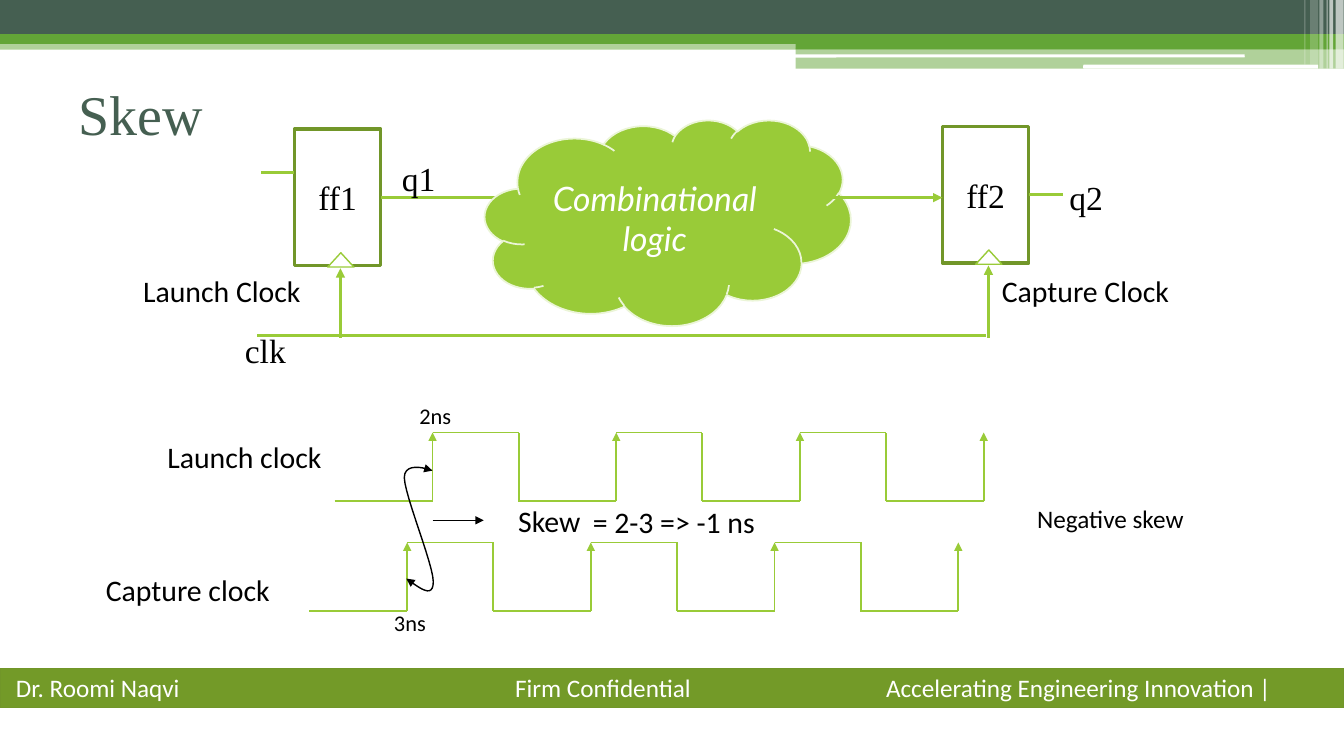
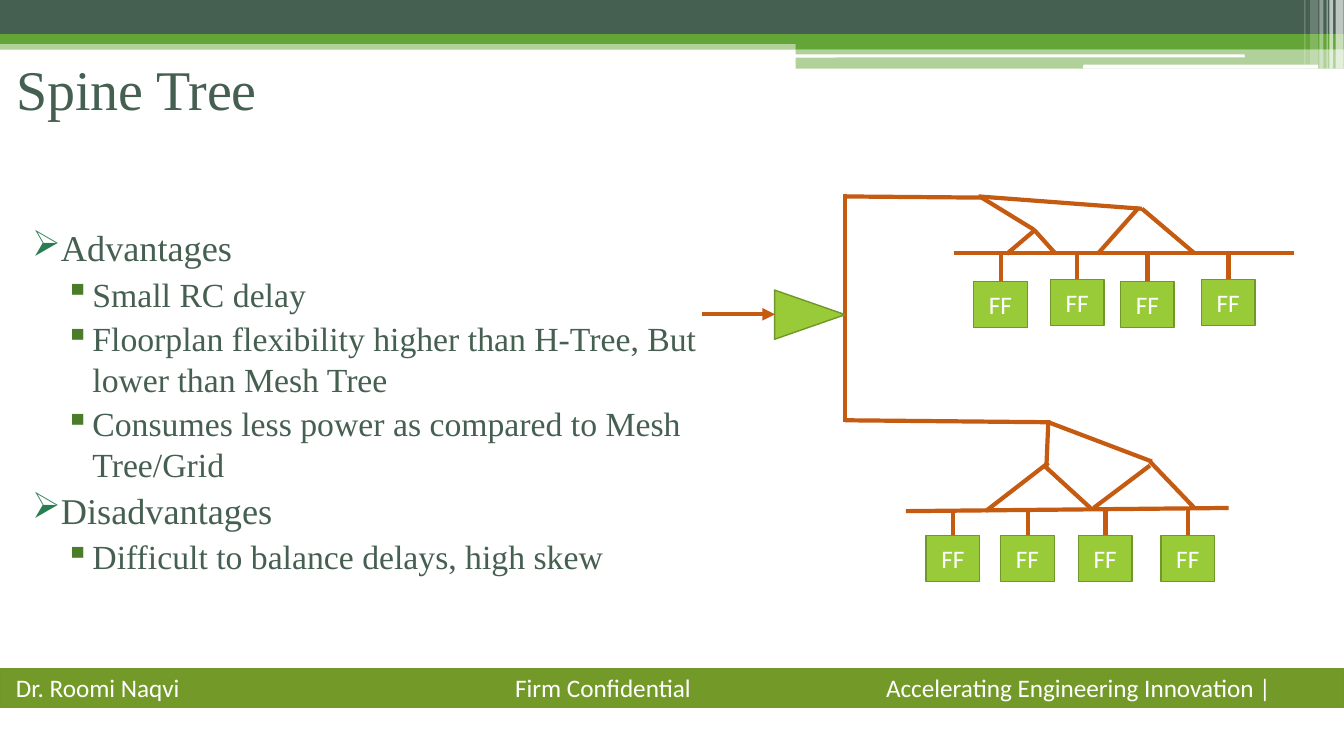
from dataclasses import dataclass
from lxml.etree import SubElement as Sub
from pptx import Presentation
from pptx.dml.color import RGBColor as Rgb
from pptx.enum.shapes import MSO_CONNECTOR as Link, MSO_SHAPE as Kind
from pptx.enum.text import MSO_ANCHOR as Anchor, MSO_AUTO_SIZE as Fit, PP_ALIGN as Align
from pptx.oxml.ns import qn
from pptx.util import Cm, Pt


@dataclass(frozen=True)
class Theme:
    """Colours, fonts and type sizes of the deck."""
    dark: str = "455F51"
    leaf: str = "63A537"
    foot: str = "739A28"
    edge: str = "719629"
    lime: str = "99CB38"
    mist: str = "EBF5D7"
    rust: str = "C55A11"
    white: str = "FFFFFF"
    black: str = "000000"
    serif: str = "Times New Roman"
    sans: str = "Calibri"
    soft: str = "Lato"
    title: float = 40
    gate: float = 24
    label: float = 21.3
    note: float = 18
    time: float = 16
    head: float = 25.9
    point: float = 24.1


T = Theme()


def box(slide, kind, at, fill=None, edge=None, wide=1, alpha=100,
        text="", size=T.note, face=T.sans, ink=T.black, pad=0.25):
    """Add a preset shape, or a text box when kind is None."""
    at = [Cm(n) for n in at]
    if kind is None:
        shape = slide.shapes.add_textbox(*at)
    else:
        shape = slide.shapes.add_shape(kind, *at)
        shape.shadow.inherit = False
        shape.fill.solid()
        shape.fill.fore_color.rgb = Rgb.from_string(fill)
        if alpha < 100:
            tint = shape.element.spPr.find(qn("a:solidFill"))[0]
            Sub(tint, qn("a:alpha"), val=str(alpha * 1000))
        if edge:
            shape.line.color.rgb = Rgb.from_string(edge)
            shape.line.width = Pt(wide)
        else:
            shape.line.fill.background()
    if text:
        frame = shape.text_frame
        frame.word_wrap = True
        frame.margin_left = frame.margin_right = Cm(pad)
        frame.margin_top = frame.margin_bottom = Cm(pad / 2)
        frame.vertical_anchor = Anchor.MIDDLE if kind else Anchor.TOP
        para = frame.paragraphs[0]
        para.alignment = Align.CENTER if kind else Align.LEFT
        run = para.add_run()
        run.text = text
        run.font.size, run.font.name = Pt(size), face
        run.font.color.rgb = Rgb.from_string(ink)
    return shape


def wire(slide, spots, ink=T.lime, wide=2.25, ends=()):
    """Join two spots by a connector, or more by an open outline."""
    spots = [(Cm(x), Cm(y)) for x, y in spots]
    if len(spots) == 2:
        shape = slide.shapes.add_connector(Link.STRAIGHT, *spots[0], *spots[1])
    else:
        pen = slide.shapes.build_freeform(*spots[0])
        pen.add_line_segments(spots[1:], close=False)
        shape = pen.convert_to_shape()
        shape.fill.background()
    shape.line.color.rgb = Rgb.from_string(ink)
    shape.line.width = Pt(wide)
    props = shape.element.spPr
    for end in ends:
        Sub(props.find(qn("a:ln")), qn(f"a:{end}End"), type="triangle")
    Sub(props, qn("a:effectLst"))


deck = Presentation()
deck.slide_width, deck.slide_height = Cm(33.87), Cm(19.05)
layout = deck.slide_layouts[5]
for item in list(layout.placeholders)[1:]:
    item.element.getparent().remove(item.element)
skew = deck.slides.add_slide(layout)

# Bands and footer, shared through the layout
bands = [
    (0, 1.02, 33.87, 0.23, T.leaf, 50),
    (0, 0, 33.87, 0.86, T.dark, 100),
    (0, 0.86, 33.87, 0.25, T.leaf, 100),
    (20.05, 0.99, 13.82, 0.25, T.leaf, 100),
    (20.05, 1.22, 13.82, 0.51, T.leaf, 50),
    (20.02, 1.37, 11.35, 0.08, T.white, 100),
    (27.3, 1.63, 5.92, 0.1, T.white, 100),
    (33.66, 0, 0.2, 1.73, T.white, 65),
    (33.5, 0, 0.1, 1.73, T.white, 65),
    (33.43, 0, 0.03, 1.73, T.white, 60),
    (33.25, 0, 0.1, 1.73, T.white, 40),
    (33.02, 0, 0.2, 1.63, T.white, 20),
    (32.87, 0, 0.03, 1.63, T.white, 30),
]
for *at, fill, alpha in bands:
    kind = Kind.ROUNDED_RECTANGLE if at[3] <= 0.1 else Kind.RECTANGLE
    box(skew, kind, at, fill, alpha=alpha)
foot = box(skew, Kind.RECTANGLE, (0, 16.84, 33.87, 0.99), T.foot, T.edge, ink=T.white, pad=0.4,
           text="Dr. Roomi Naqvi\tFirm Confidential\tAccelerating Engineering Innovation |")
para = foot.text_frame.paragraphs[0]
para.alignment = Align.LEFT
stops = Sub(para._p.get_or_add_pPr(), qn("a:tabLst"))
for x in (12.58, 21.93):
    Sub(stops, qn("a:tab"), pos=str(Cm(x)), algn="l")
for spot, shape in enumerate(list(skew.shapes)[1:], 2):
    layout.shapes.element.insert(spot, shape.element)

# Titles
spine = deck.slides.add_slide(layout)
for slide, x, y, text in ((skew, 1.73, 1.37, "Skew"), (spine, 0.15, 0.74, "Spine Tree")):
    title = slide.shapes.title
    title.left, title.top, title.width, title.height = Cm(x), Cm(y), Cm(30.48), Cm(2.97)
    frame = title.text_frame
    frame.auto_size, frame.vertical_anchor = Fit.NONE, Anchor.MIDDLE
    para = frame.paragraphs[0]
    para.alignment = Align.LEFT
    run = para.add_run()
    run.text = text
    run.font.size, run.font.name = Pt(T.title), T.serif
    run.font.color.rgb = Rgb.from_string(T.dark)

# Skew: flip-flops, logic cloud and clock line
for name, x, y in (("ff1", 7.42, 3.25), ("ff2", 23.75, 3.18)):
    box(skew, Kind.RECTANGLE, (x, y, 2.18, 3.45), T.white, T.edge, 2.25,
        text=name, size=T.gate, face=T.serif)
    box(skew, Kind.ISOSCELES_TRIANGLE, (x + 0.84, y + 3.12, 0.66, 0.36), T.white, T.lime)
    wire(skew, [(x + 1.16, y + 3.51), (x + 1.16, 8.51)], ends=["head"])
wire(skew, [(9.6, 4.98), (13.31, 4.98)], ends=["tail"])
cloud = box(skew, Kind.CLOUD, (12.22, 3.02, 9.22, 5.18), T.lime, T.mist, 1.25,
            text="Combinational logic", size=T.gate, face=T.soft, ink=T.white)
cloud.text_frame.paragraphs[0].runs[0].font.italic = True
wire(skew, [(20.07, 4.98), (23.75, 4.98)], ends=["tail"])
wire(skew, [(25.93, 4.9), (26.8, 4.9)])
wire(skew, [(6.58, 4.34), (7.42, 4.34)])
wire(skew, [(6.48, 8.46), (24.84, 8.46)])
for text, x, y in (("q1", 9.88, 3.86), ("q2", 26.7, 4.34), ("clk", 5.92, 8.2)):
    box(skew, None, (x, y, 2.54, 1.27), text=text, size=T.gate, face=T.serif)

# Skew: launch and capture waves
step, high, lead, rise = 4.63, 2.17, 2.47, 1.72
for start, low in ((10.9, 12.62), (10.26, 15.39)):
    top = low - rise
    for i in range(4):
        x = start + i * step
        wire(skew, [(x - lead, low), (x, low)], wide=1.25)
        wire(skew, [(x, low), (x, top)], wide=1.25, ends=["tail"])
        if i < 3:
            wire(skew, [(x, top), (x + high, top)], wide=1.25)
            wire(skew, [(x + high, low), (x + high, top)], wide=1.25)
labels = [
    ("Launch Clock", 3.61, 6.86, T.label),
    ("Capture Clock", 25.25, 6.86, T.label),
    ("2ns", 10.57, 10.13, T.time),
    ("3ns", 9.93, 15.34, T.time),
    ("Launch clock", 4.22, 11.05, T.label),
    ("Capture clock", 2.67, 14.4, T.label),
    ("Skew", 13.06, 12.67, T.label),
    ("= 2-3 => -1 ns", 14.94, 12.7, T.label),
    ("Negative skew", 26.14, 12.68, T.note),
]
for text, x, y, size in labels:
    box(skew, None, (x, y, 6.2, 0.9), text=text, size=size, pad=0)
wire(skew, [(10.9, 13.11), (12.19, 13.11)], T.black, 0.5, ["tail"])
bends = [
    ((10.59, 14.83), (10.92, 15.09), (10.92, 14.66)),
    ((10.92, 14.22), (10.21, 12.52), (10.19, 12.04)),
    ((10.19, 11.58), (10.9, 11.86), (10.9, 11.86)),
]
curve = [(10.24, 14.58)]
for bend in bends:
    knots = [curve[-1], *bend]
    for i in range(1, 13):
        t = i / 12
        parts = ((1 - t) ** 3, 3 * t * (1 - t) ** 2, 3 * t * t * (1 - t), t ** 3)
        curve.append(tuple(sum(p * k[axis] for p, k in zip(parts, knots)) for axis in (0, 1)))
wire(skew, curve, T.black, 1, ["head", "tail"])

# Spine tree: pros and cons
points = [
    (0, "Advantages"),
    (1, "Small RC delay"),
    (1, "Floorplan flexibility higher than H-Tree, But lower than Mesh Tree"),
    (1, "Consumes less power as compared to Mesh Tree/Grid"),
    (0, "Disadvantages"),
    (1, "Difficult to balance delays, high skew"),
]
styles = [(1.02, -0.71, "297D53", "➢", T.head), (1.83, -0.69, "4A7C29", "▪", T.point)]
frame = spine.shapes.add_textbox(Cm(0.25), Cm(5.56), Cm(18.9), Cm(8.31)).text_frame
frame.word_wrap = True
for i, (level, text) in enumerate(points):
    left, hang, tint, mark, size = styles[level]
    para = frame.add_paragraph() if i else frame.paragraphs[0]
    para.level, para.space_before = level, Pt(3)
    props = para._p.get_or_add_pPr()
    props.set("marL", str(Cm(left)))
    props.set("indent", str(Cm(hang)))
    Sub(Sub(props, qn("a:buClr")), qn("a:srgbClr"), val=tint)
    Sub(props, qn("a:buChar"), char=mark)
    run = para.add_run()
    run.text = text
    run.font.size, run.font.name = Pt(size), T.serif
    run.font.color.rgb = Rgb.from_string(T.dark)

# Spine tree: flip-flops with their stubs, branches and driver
cells = [(24.54, 7.09), (26.47, 7.04), (28.24, 7.09), (30.28, 7.04),
         (23.34, 13.49), (25.22, 13.49), (27.18, 13.49), (29.26, 13.49)]
for x, y in cells:
    bus = 6.38 if y < 10 else 12.85
    box(spine, Kind.RECTANGLE, (x, y, 1.35, 1.17), T.lime, T.edge, text="FF", ink=T.white, pad=0.1)
    wire(spine, [(x + 0.68, bus), (x + 0.68, y)], T.rust, 3)
twigs = [
    (24.03, 6.38, 32.61, 6.38), (22.83, 12.88, 30.96, 12.8),
    (21.29, 4.95, 24.79, 4.98), (21.29, 10.59, 26.47, 10.64),
    (24.69, 4.95, 26.06, 5.79), (24.66, 4.95, 28.78, 5.26),
    (26.09, 5.79, 25.37, 6.4), (26.06, 5.79, 26.59, 6.38),
    (28.7, 5.23, 27.66, 6.4), (28.78, 5.26, 30.1, 6.38),
    (26.42, 10.59, 26.37, 11.76), (26.42, 10.64, 29.03, 11.63),
    (26.42, 11.66, 24.84, 12.88), (26.31, 11.73, 27.48, 12.8),
    (28.98, 11.73, 27.56, 12.8), (28.98, 11.63, 30.1, 12.8),
    (21.29, 4.88, 21.29, 10.64),
]
for *root, x, y in twigs:
    wire(spine, [root, (x, y)], T.rust, 3)
drive = box(spine, Kind.ISOSCELES_TRIANGLE, (19.79, 7.04, 1.24, 1.78), T.lime, T.edge)
drive.rotation = 90
wire(spine, [(17.7, 7.92), (19.53, 7.92)], T.rust, 3, ["tail"])

deck.save("out.pptx")
